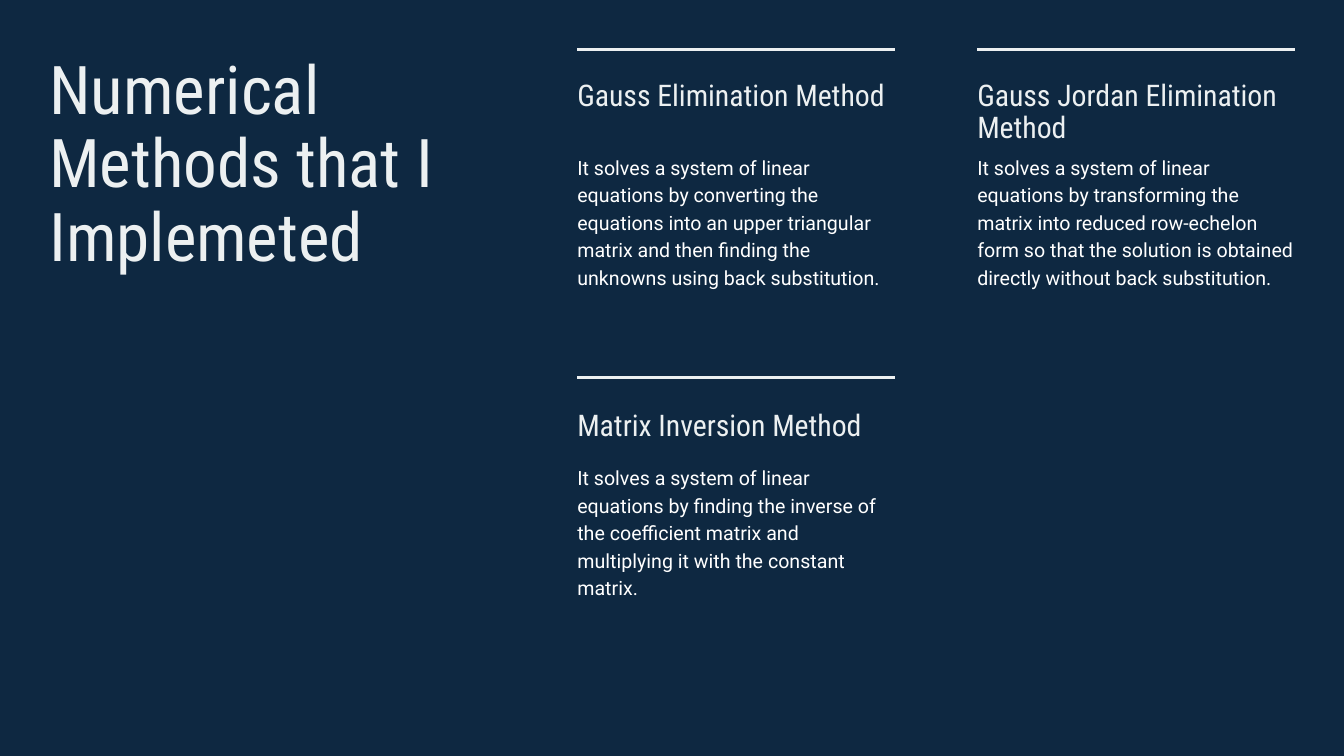
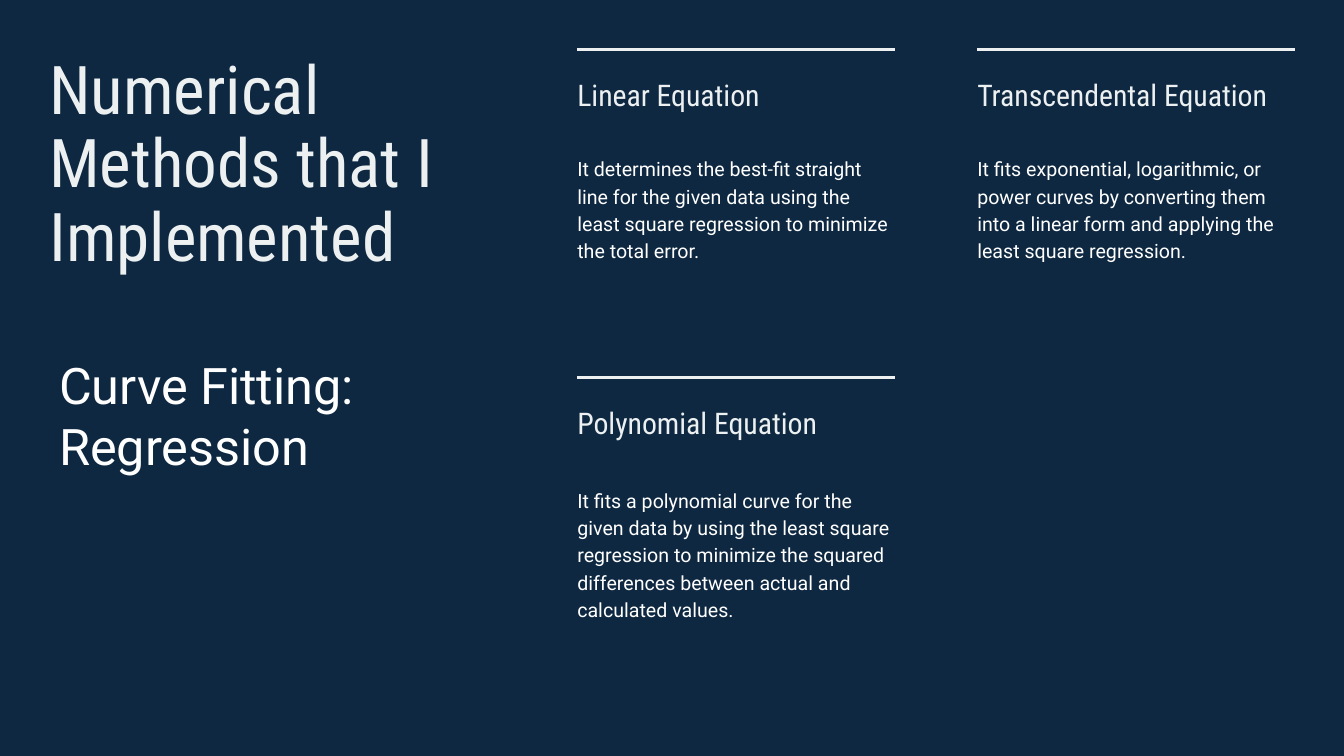
from lxml import etree
from pptx import Presentation
from pptx.dml.color import RGBColor
from pptx.enum.shapes import MSO_CONNECTOR
from pptx.enum.text import MSO_ANCHOR, MSO_AUTO_SIZE, PP_ALIGN
from pptx.oxml.ns import qn
from pptx.util import Cm, Pt

STRAIGHT = MSO_CONNECTOR.STRAIGHT
TOP = MSO_ANCHOR.TOP
GROW = MSO_AUTO_SIZE.SHAPE_TO_FIT_TEXT
LEFT = PP_ALIGN.LEFT

COLORS = {"background": "0E2841", "heading": "ECF0F1", "body": "FFFFFF"}
STYLES = {
    "title": {"font": "Roboto Condensed", "size": 48, "spacing": Pt(52.8), "color": "heading"},
    "heading": {"font": "Roboto Condensed", "size": 21.3, "spacing": Pt(22.4), "color": "heading"},
    "body": {"font": "Roboto", "size": 14, "spacing": Pt(19.6), "color": "body"},
    "topic": {"font": "Roboto", "size": 36, "spacing": 1.0, "color": "body"},
}
MARGIN = 1.24
GRID_LEFT, COLUMN_PITCH, ROW_PITCH = 14.55, 10.08, 8.28
CARD_WIDTH, BODY_HEIGHT, HEADING_LINE = 8, 3.53, 0.79

SLIDES = [
    {
        "title": "Numerical Methods that I Implemeted",
        "title_width": 10.64,
        "cards": [
            {"heading": "Gauss Elimination Method", "heading_top": 0.81, "body_top": 2.59,
             "body": "It solves a system of linear equations by converting the equations into an "
                     "upper triangular matrix and then finding the unknowns using back substitution."},
            {"heading": "Gauss Jordan Elimination Method", "heading_top": 0.81, "body_top": 2.59,
             "body": "It solves a system of linear equations by transforming the matrix into reduced "
                     "row-echelon form so that the solution is obtained directly without back "
                     "substitution."},
            {"heading": "Matrix Inversion Method", "heading_top": 0.84, "body_top": 2.13,
             "body": "It solves a system of linear equations by finding the inverse of the "
                     "coefficient matrix and multiplying it with the constant matrix."},
        ],
    },
    {
        "title": "Numerical Methods that I Implemented",
        "title_width": 11.23,
        "topic": "Curve Fitting: Regression",
        "cards": [
            {"heading": "Linear Equation", "heading_top": 0.81, "body_top": 2.62,
             "body": "It determines the best-fit straight line for the given data using the least "
                     "square regression to minimize the total error."},
            {"heading": "Transcendental Equation", "heading_top": 0.81, "body_top": 2.62,
             "body": "It fits exponential, logarithmic, or power curves by converting them into a "
                     "linear form and applying the least square regression."},
            {"heading": "Polynomial Equation", "heading_top": 0.79, "body_top": 2.69,
             "body": "It fits a polynomial curve for the given data by using the least square "
                     "regression to minimize the squared differences between actual and "
                     "calculated values."},
        ],
    },
]


def set_values(target, values):
    """Set each attribute of the target from a dict of values."""
    for name, value in values.items():
        setattr(target, name, value)


def color(name):
    """Return the named colour of the deck."""
    return RGBColor.from_string(COLORS[name])


def write_text(shape, text, style_name, inset=True):
    """Fill a shape with one paragraph in a named style."""
    style = STYLES[style_name]
    frame = shape.text_frame
    set_values(frame, {"text": text, "word_wrap": True, "auto_size": GROW, "vertical_anchor": TOP})
    if not inset:
        sides = ("margin_left", "margin_top", "margin_right", "margin_bottom")
        set_values(frame, dict.fromkeys(sides, 0))
    paragraph = frame.paragraphs[0]
    set_values(paragraph, {"alignment": LEFT, "line_spacing": style["spacing"]})
    font = paragraph.runs[0].font
    set_values(font, {"name": style["font"], "size": Pt(style["size"])})
    font.color.rgb = color(style["color"])


def add_title(slide, text, left, top, width, height):
    """Move the title placeholder into its box and write the title."""
    title = slide.shapes.title
    set_values(title, {"left": Cm(left), "top": Cm(top), "width": Cm(width), "height": Cm(height)})
    write_text(title, text, "title", inset=False)


def add_topic(slide, text, left, top, width, height):
    """Add the large topic text below the title."""
    box = slide.shapes.add_textbox(Cm(left), Cm(top), Cm(width), Cm(height))
    write_text(box, text, "topic")


def add_card(slide, card, left, top, width):
    """Add a grouped card: a rule, a heading and a body text."""
    shapes = slide.shapes.add_group_shape().shapes
    rule = shapes.add_connector(STRAIGHT, Cm(left), Cm(top), Cm(left + width), Cm(top))
    rule.line.width = Pt(2)
    rule.line.color.rgb = color("heading")
    etree.SubElement(rule.line._get_or_add_ln().getparent(), qn("a:effectLst"))
    for part, height in (("body", BODY_HEIGHT), ("heading", HEADING_LINE)):
        part_top = top + card[part + "_top"]
        box = shapes.add_textbox(Cm(left), Cm(part_top), Cm(width), Cm(height))
        write_text(box, card[part], part, inset=False)


def add_methods_slide(presentation, content):
    """Add a slide with a title on the left and a two-column grid of cards."""
    slide = presentation.slides.add_slide(presentation.slide_layouts.get_by_name("Title Only"))
    add_title(slide, content["title"], MARGIN, 1.35, content["title_width"], 5.66)
    for index, card in enumerate(content["cards"]):
        row, column = divmod(index, 2)
        card_left = GRID_LEFT + column * COLUMN_PITCH
        add_card(slide, card, card_left, MARGIN + row * ROW_PITCH, CARD_WIDTH)
    if "topic" in content:
        add_topic(slide, content["topic"], MARGIN, 8.81, 10.64, 3.33)


def main():
    """Build and save the presentation."""
    presentation = Presentation()
    set_values(presentation, {"slide_width": Cm(33.87), "slide_height": Cm(19.05)})
    fill = presentation.slide_master.background.fill
    fill.solid()
    fill.fore_color.rgb = color("background")
    for content in SLIDES:
        add_methods_slide(presentation, content)
    presentation.save("out.pptx")


if __name__ == "__main__":
    main()
